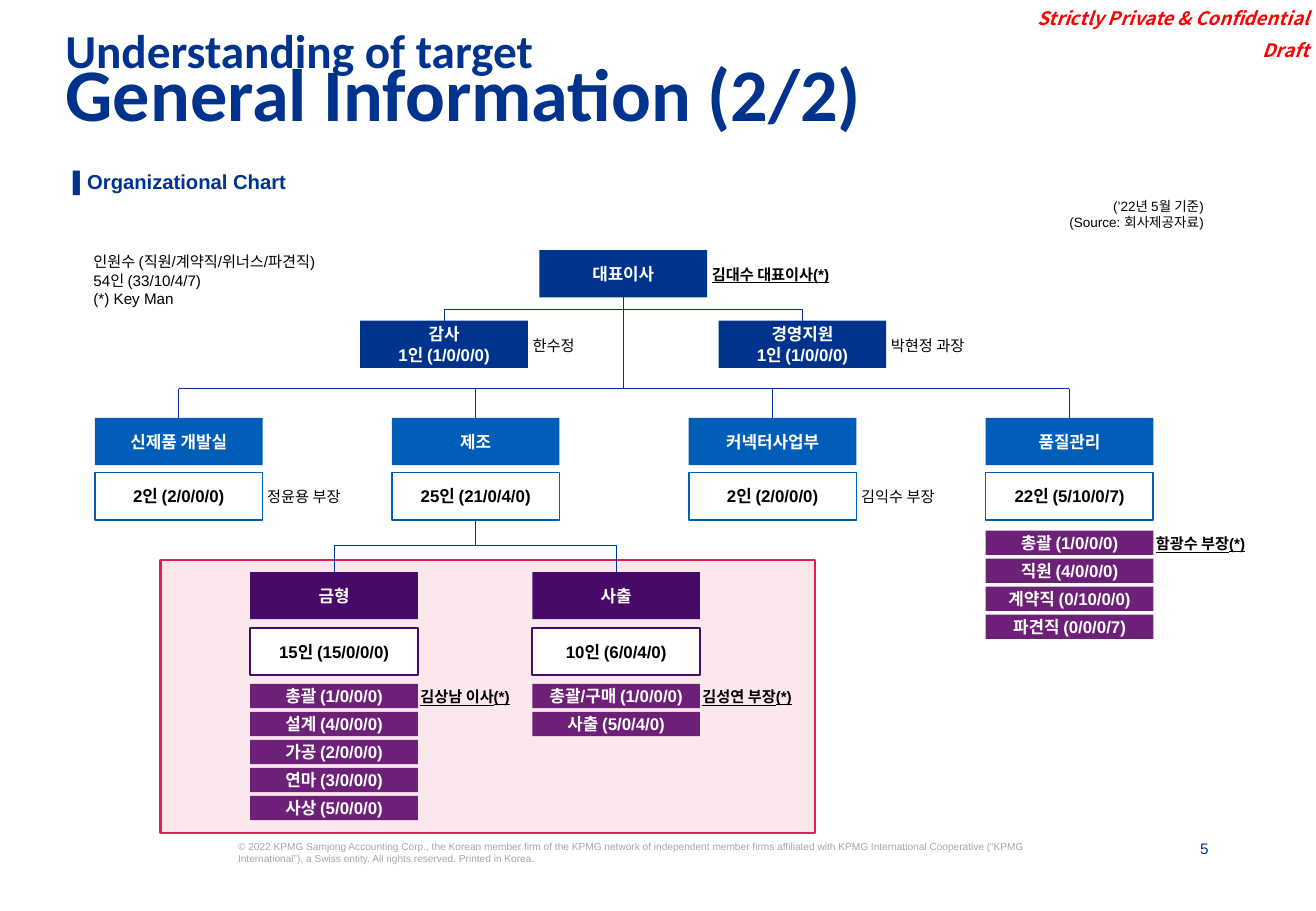
"""Build an organizational chart slide with staffing counts and key people."""
from dataclasses import dataclass
from typing import Optional

from lxml.etree import SubElement
from pptx import Presentation
from pptx.dml.color import RGBColor
from pptx.enum.shapes import MSO_CONNECTOR as Link, MSO_SHAPE as Preset
from pptx.enum.text import MSO_ANCHOR as Anchor, MSO_AUTO_SIZE as AutoSize, PP_ALIGN as Align
from pptx.oxml.ns import qn
from pptx.shapes.autoshape import Shape
from pptx.shapes.connector import Connector
from pptx.slide import Slide
from pptx.text.text import TextFrame
from pptx.util import Pt

NAVY, BLUE, VIOLET, PURPLE = "00338D", "005EB8", "470A68", "6D2077"
WHITE, BLACK, RED, PINK, GREY = "FFFFFF", "000000", "FF0000", "E71C57", "A6A6A6"
KOREAN = "Noto Sans CJK KR"
NODE_WIDTH, NODE_HEIGHT, ROW_HEIGHT, ROW_PITCH = 99.4, 28, 14.4, 16.6
CHIEF_LEFT, CHIEF_TOP, STAFF_TOP, STAFF_OFFSET = 319.7, 148.3, 190.1, 106.2
UNIT_LEFT, UNIT_TOP, UNIT_PITCH, UNIT_ROWS_TOP = 56.2, 247.7, 176, 314.6
TEAM_LEFT, TEAM_TOP, TEAM_PITCH, TEAM_ROWS_TOP = 148.3, 339.1, 167.2, 405.4
BUS_TOP = 230.4


@dataclass(frozen=True)
class Row:
    text: str
    person: str = ""


@dataclass(frozen=True)
class Group:
    name: str
    count: str
    person: str = ""
    rows: tuple[Row, ...] = ()


UNITS = (
    Group("신제품 개발실", "2인 (2/0/0/0)", "정윤용 부장"),
    Group("제조", "25인 (21/0/4/0)"),
    Group("커넥터사업부", "2인 (2/0/0/0)", "김익수 부장"),
    Group("품질관리", "22인 (5/10/0/7)", rows=(
        Row("총괄 (1/0/0/0)", "함광수 부장(*)"), Row("직원 (4/0/0/0)"),
        Row("계약직 (0/10/0/0)"), Row("파견직 (0/0/0/7)"))),
)
TEAMS = (
    Group("금형", "15인 (15/0/0/0)", rows=(
        Row("총괄 (1/0/0/0)", "김상남 이사(*)"), Row("설계 (4/0/0/0)"),
        Row("가공 (2/0/0/0)"), Row("연마 (3/0/0/0)"), Row("사상 (5/0/0/0)"))),
    Group("사출", "10인 (6/0/4/0)", rows=(
        Row("총괄/구매 (1/0/0/0)", "김성연 부장(*)"), Row("사출 (5/0/4/0)"))),
)


def color(value: str) -> RGBColor:
    return RGBColor.from_string(value)


def write(frame: TextFrame, text: str, *, size: float, ink: str = BLACK, font: str = "Arial",
          bold: bool = False, italic: bool = False, underline: bool = False,
          align: Align = Align.LEFT, anchor: Anchor = Anchor.TOP, spacing: float = 1,
          before: float = 0, margins: tuple[float, float, float, float] = (0, 0, 0, 0)) -> None:
    frame.word_wrap = True
    frame.auto_size = AutoSize.NONE
    frame.vertical_anchor = anchor
    (frame.margin_left, frame.margin_top,
     frame.margin_right, frame.margin_bottom) = map(Pt, margins)
    frame.text = text
    for index, para in enumerate(frame.paragraphs):
        para.alignment = align
        para.line_spacing = spacing
        para.space_before = Pt(before if index else 0)
        for span in para.runs:
            span.font.name, span.font.size = font, Pt(size)
            span.font.bold, span.font.italic, span.font.underline = bold, italic, underline
            span.font.color.rgb = color(ink)
            SubElement(span.font._element, qn("a:ea"), typeface=KOREAN)


def add_text(page: Slide, left: float, top: float, width: float, height: float,
             text: str, **style) -> None:
    box = page.shapes.add_textbox(Pt(left), Pt(top), Pt(width), Pt(height))
    write(box.text_frame, text, **style)


def add_box(page: Slide, left: float, top: float, width: float, height: float,
            fill: str, line: Optional[str] = None, weight: float = 1) -> Shape:
    box = page.shapes.add_shape(Preset.RECTANGLE, Pt(left), Pt(top), Pt(width), Pt(height))
    box.shadow.inherit = False
    box.fill.solid()
    box.fill.fore_color.rgb = color(fill)
    if line:
        box.line.color.rgb = color(line)
        box.line.width = Pt(weight)
    else:
        box.line.fill.background()
    return box


def add_node(page: Slide, left: float, top: float, text: str, fill: str, *,
             line: Optional[str] = None, height: float = NODE_HEIGHT, person: str = "") -> Shape:
    box = add_box(page, left, top, NODE_WIDTH, height, fill, line)
    write(box.text_frame, text, size=10, ink=BLACK if line else WHITE, bold=True,
          align=Align.CENTER, anchor=Anchor.MIDDLE, margins=(4.3,) * 4)
    if person:
        key = "(*)" in person
        add_text(page, left + NODE_WIDTH + height / 10, top + height / 2 - 5, 90, 10.8,
                 person, size=9, bold=key, underline=key)
    return box


def add_group(page: Slide, group: Group, left: float, top: float, count_top: float,
              rows_top: float, fill: str) -> tuple[Shape, Shape]:
    head = add_node(page, left, top, group.name, fill)
    count = add_node(page, left, count_top, group.count, WHITE, line=fill, person=group.person)
    for index, row in enumerate(group.rows):
        add_node(page, left, rows_top + index * ROW_PITCH, row.text, PURPLE,
                 height=ROW_HEIGHT, person=row.person)
    return head, count


def add_link(page: Slide, start: tuple[float, float], end: tuple[float, float],
             kind: Link = Link.STRAIGHT, parent: Optional[Shape] = None,
             child: Optional[Shape] = None) -> Connector:
    link = page.shapes.add_connector(kind, *map(Pt, start + end))
    link.line.color.rgb = color(NAVY)
    link.line.width = Pt(0.5)
    SubElement(link.element.spPr, qn("a:effectLst"))
    if parent is not None:
        link.begin_connect(parent, 2)
    if child is not None:
        link.end_connect(child, 0)
    return link


def add_elbow(page: Slide, parent: Shape, child: Shape) -> None:
    start_x, start_y = parent.left + parent.width // 2, parent.top + parent.height
    end_x, end_y = child.left + child.width // 2, child.top
    link = add_link(page, (0, 0), (1, 1), Link.ELBOW, parent, child)
    link.width, link.height = end_y - start_y, abs(end_x - start_x)
    link.left = (start_x + end_x - link.width) // 2
    link.top = (start_y + end_y - link.height) // 2
    rightward = end_x > start_x
    frame = link.element.spPr.find(qn("a:xfrm"))
    frame.set("rot", str((270 if rightward else 90) * 60000))
    frame.set("flipH", "1" if rightward else "0")
    frame.set("flipV", "0")


def add_texts(page: Slide) -> None:
    heading = dict(font="Calibri", ink=NAVY, bold=True, spacing=0.7, margins=(7.2, 3.6, 7.2, 3.6))
    add_text(page, 31.7, 18, 676.8, 21.6, "Understanding of target", size=28, **heading)
    title = page.shapes.title
    title.left, title.top, title.width, title.height = map(Pt, (31.7, 38.9, 676.8, 46))
    write(title.text_frame, "General Information (2/2)", size=44, **heading)
    add_text(page, 599, 0, 180, 39, "Strictly Private & Confidential\nDraft", size=11,
             font=KOREAN, ink=RED, bold=True, italic=True, align=Align.RIGHT,
             anchor=Anchor.BOTTOM, before=5.5, margins=(0, 2.9, 2.9, 2.9))
    add_text(page, 43.2, 92.2, 296.6, 28, "▌Organizational Chart", size=12, ink=NAVY,
             bold=True, anchor=Anchor.MIDDLE, spacing=1.2)
    add_text(page, 541.4, 118, 175, 18, "(’22년 5월 기준)\n(Source: 회사제공자료)", size=8,
             align=Align.RIGHT, anchor=Anchor.MIDDLE, margins=(2.9,) * 4)
    add_text(page, 55.4, 146.2, 175, 39.6,
             "인원수 (직원/계약직/위너스/파견직)\v54인 (33/10/4/7)\n(*) Key Man",
             size=9, anchor=Anchor.MIDDLE)
    add_text(page, 141.1, 498.2, 470.2, 36,
             "© 2022 KPMG Samjong Accounting Corp., the Korean member firm of the KPMG network of "
             "independent member firms affiliated with KPMG International Cooperative (“KPMG "
             "International”), a Swiss entity. All rights reserved. Printed in Korea.",
             size=6, ink=GREY)
    add_text(page, 685.4, 497.5, 31, 11.5, "5", size=9, ink=NAVY, align=Align.RIGHT)


def add_chart_tree(page: Slide) -> None:
    area = add_box(page, 95, 331.9, 388.1, 162, PINK, PINK, 1.5)
    SubElement(area.fill._xPr.find(qn("a:solidFill"))[0], qn("a:alpha"), val="10000")
    chief = add_node(page, CHIEF_LEFT, CHIEF_TOP, "대표이사", NAVY, person="김대수 대표이사(*)")
    staff = [add_node(page, CHIEF_LEFT + side * STAFF_OFFSET, STAFF_TOP,
                      f"{name}\v1인 (1/0/0/0)", NAVY, person=person)
             for side, name, person in ((-1, "감사", "한수정"), (1, "경영지원", "박현정 과장"))]
    units = [add_group(page, unit, UNIT_LEFT + index * UNIT_PITCH, UNIT_TOP, UNIT_TOP + 32.4,
                       UNIT_ROWS_TOP, BLUE) for index, unit in enumerate(UNITS)]
    teams = [add_group(page, team, TEAM_LEFT + index * TEAM_PITCH, TEAM_TOP, TEAM_TOP + 33.1,
                       TEAM_ROWS_TOP, VIOLET) for index, team in enumerate(TEAMS)]

    for box in staff:
        add_elbow(page, chief, box)
    middle = CHIEF_LEFT + NODE_WIDTH / 2
    add_link(page, (middle, CHIEF_TOP + NODE_HEIGHT), (middle, BUS_TOP), parent=chief)
    centers = [UNIT_LEFT + index * UNIT_PITCH + NODE_WIDTH / 2 for index in range(len(UNITS))]
    add_link(page, (centers[0], BUS_TOP), (centers[-1], BUS_TOP))
    for center, (head, _) in zip(centers, units):
        add_link(page, (center, BUS_TOP), (center, UNIT_TOP), child=head)
    for head, _ in teams:
        add_elbow(page, units[1][1], head)


def main() -> None:
    deck = Presentation()
    deck.slide_width, deck.slide_height = Pt(780), Pt(540)
    page = deck.slides.add_slide(deck.slide_layouts[5])
    add_texts(page)
    add_chart_tree(page)
    deck.save("out.pptx")


if __name__ == "__main__":
    main()
